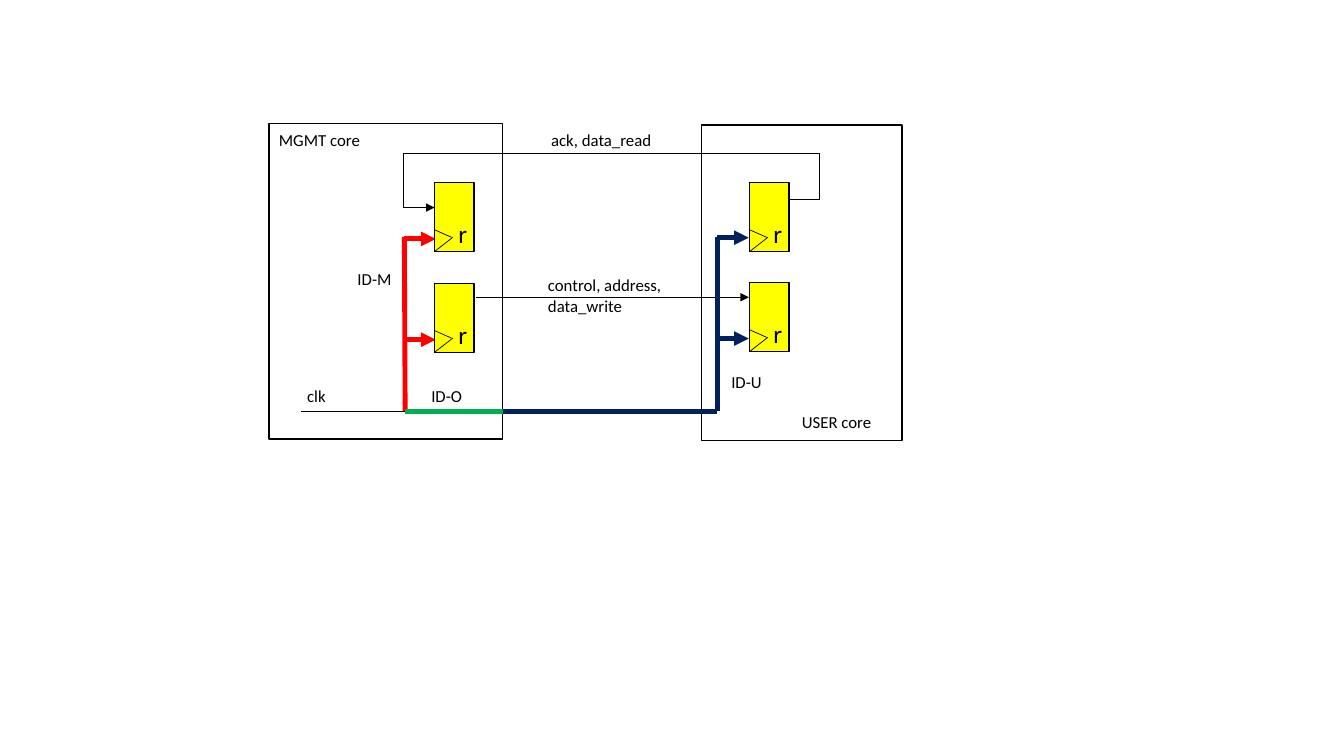
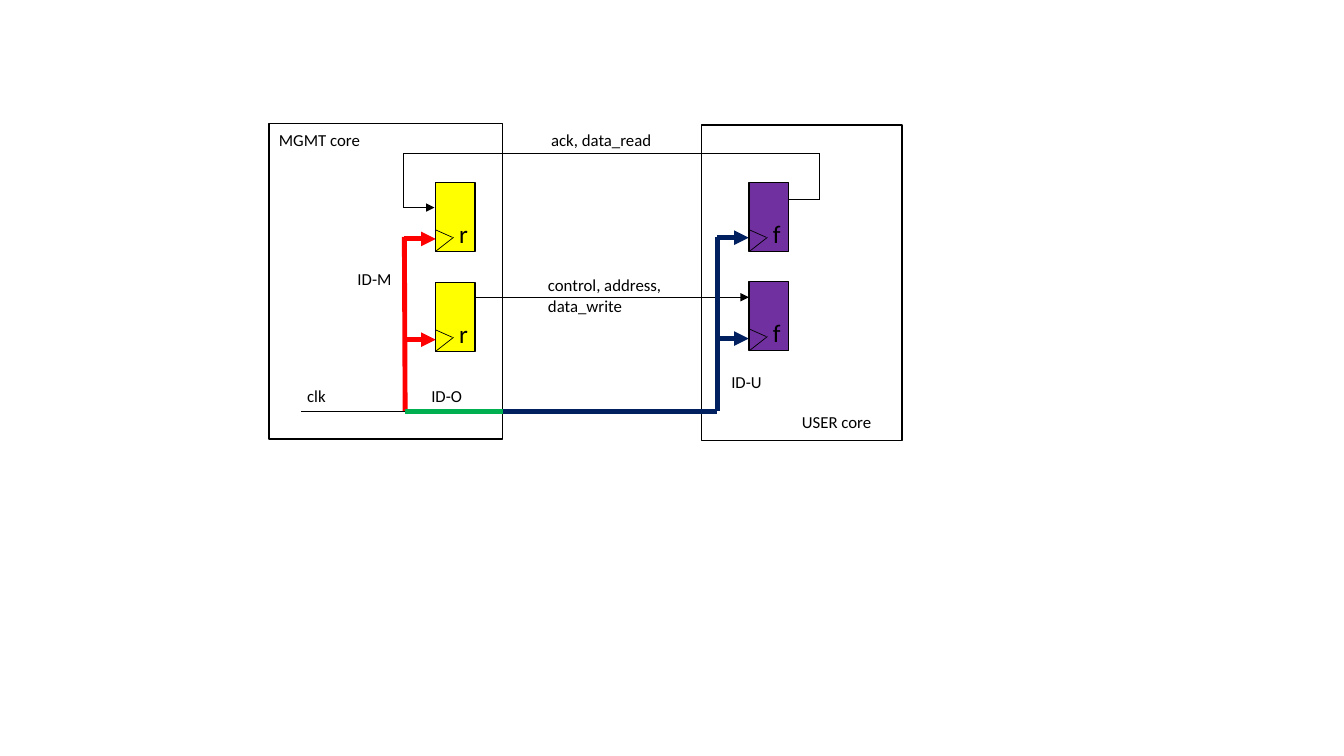
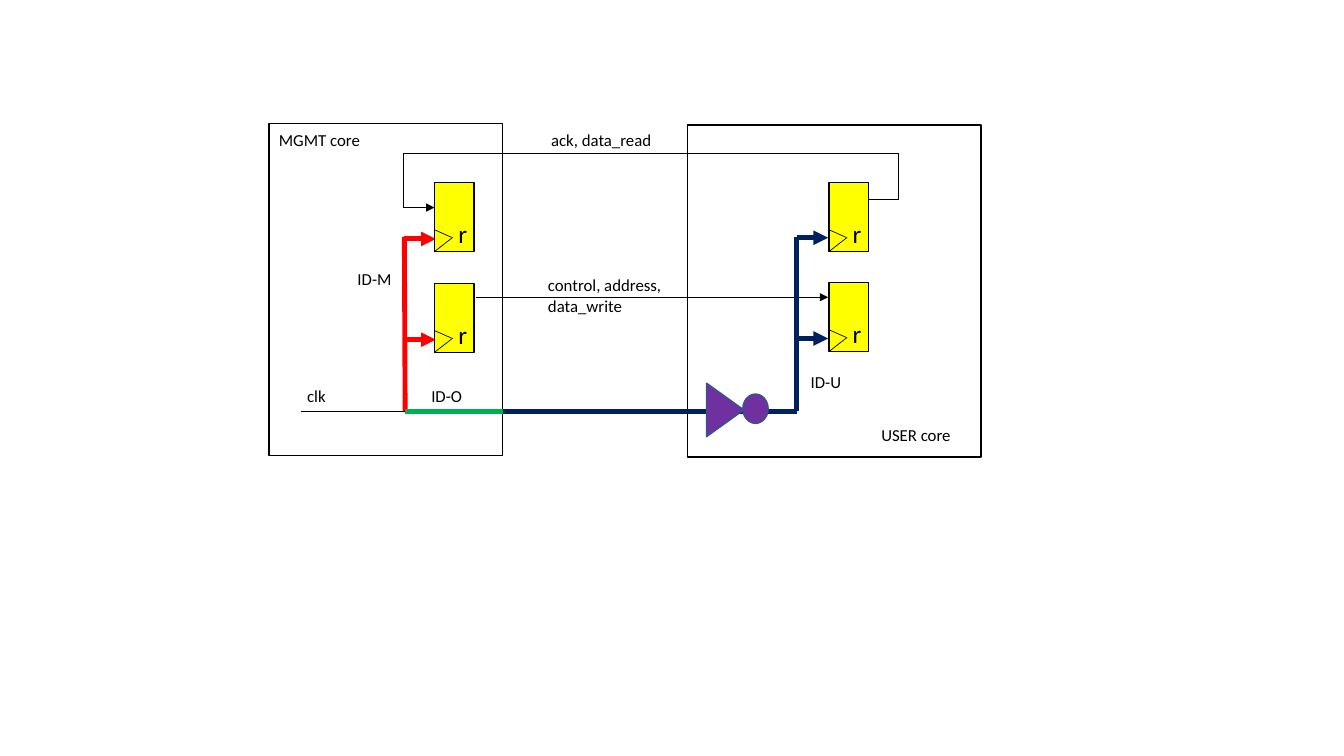
"""Draw three clocking schemes between a management core and a user core."""
from dataclasses import dataclass
from typing import Optional

from lxml import etree
from pptx import Presentation
from pptx.dml.color import RGBColor
from pptx.enum.shapes import MSO_CONNECTOR, MSO_SHAPE
from pptx.enum.text import MSO_AUTO_SIZE
from pptx.oxml.ns import qn
from pptx.shapes.autoshape import Shape
from pptx.slide import Slide
from pptx.util import Cm, Pt

RECTANGLE = MSO_SHAPE.RECTANGLE
TRIANGLE = MSO_SHAPE.ISOSCELES_TRIANGLE
OVAL = MSO_SHAPE.OVAL
STRAIGHT = MSO_CONNECTOR.STRAIGHT
FIT_TEXT = MSO_AUTO_SIZE.SHAPE_TO_FIT_TEXT

BLACK = RGBColor(0x00, 0x00, 0x00)
WHITE = RGBColor(0xFF, 0xFF, 0xFF)
YELLOW = RGBColor(0xFF, 0xFF, 0x00)
PURPLE = RGBColor(0x70, 0x30, 0xA0)
RED = RGBColor(0xFF, 0x00, 0x00)
GREEN = RGBColor(0x00, 0xB0, 0x50)
NAVY = RGBColor(0x00, 0x20, 0x60)
SLATE = RGBColor(0x32, 0x54, 0x91)

FONT = "Calibri"
THIN, THICK = 0.5, 3.5
LABEL_HEIGHT = 0.76
REGISTER_TOP, REGISTER_WIDTH, REGISTER_HEIGHT = 4.6, 1.0, 1.74
CORE_TOP, MGMT_LEFT, MGMT_WIDTH = 3.15, 6.78, 5.89
CLOCK_Y, BRANCH_X, ACK_Y = 10.36, 10.21, 3.86

Point = tuple[float, float]


@dataclass(frozen=True)
class Registers:
    """Two stacked registers triggered by the same clock edge."""
    left: float
    pitch: float
    edge: str = "r"
    fill: RGBColor = YELLOW


@dataclass(frozen=True)
class Scheme:
    """What differs from one clocking scheme to the next."""
    mgmt: Registers
    user: Registers
    panel_size: Point = (17.55, 8.86)
    core_height: float = 7.95
    user_left: float = 17.68
    user_width: float = 5.05
    user_label_top: float = 10.26
    shift: float = 0
    inverted: bool = False


SCHEMES = (
    Scheme(Registers(10.95, 2.54), Registers(18.89, 2.52)),
    Scheme(Registers(10.97, 2.52), Registers(18.88, 2.5, "f", PURPLE)),
    Scheme(Registers(10.95, 2.54), Registers(20.89, 2.52),
           panel_size=(19.48, 9.32), core_height=8.37, user_left=17.32,
           user_width=7.4, user_label_top=10.59, shift=2, inverted=True),
)


def add_text(slide: Slide, text: str, left: float, top: float, width: float, *,
             height: float = LABEL_HEIGHT, size: float = 12,
             color: RGBColor = BLACK) -> None:
    """Place unwrapped text, one paragraph a line."""
    frame = slide.shapes.add_textbox(Cm(left), Cm(top), Cm(width), Cm(height)).text_frame
    frame.word_wrap = False
    frame.auto_size = FIT_TEXT
    frame.text = text
    for paragraph in frame.paragraphs:
        font = paragraph.font
        font.name, font.size = FONT, Pt(size)
        font.color.rgb = color


def add_block(slide: Slide, preset: MSO_SHAPE, left: float, top: float,
              width: float, height: float, *, fill: Optional[RGBColor] = None,
              outline: RGBColor = BLACK) -> Shape:
    """Draw an outlined preset shape, hollow unless a fill is given."""
    block = slide.shapes.add_shape(preset, Cm(left), Cm(top), Cm(width), Cm(height))
    block.shadow.inherit = False
    if fill is None:
        block.fill.background()
    else:
        block.fill.solid()
        block.fill.fore_color.rgb = fill
    block.line.color.rgb = outline
    block.line.width = Pt(1)
    return block


def add_wire(slide: Slide, *points: Point, color: RGBColor = BLACK,
             width: float = THIN, arrow: bool = False) -> None:
    """Join the points with straight lines, the last with an optional arrowhead."""
    for start, end in zip(points, points[1:]):
        wire = slide.shapes.add_connector(
            STRAIGHT, Cm(start[0]), Cm(start[1]), Cm(end[0]), Cm(end[1]))
        wire.line.color.rgb = color
        wire.line.width = Pt(width)
        if arrow and end == points[-1]:
            etree.SubElement(wire.line._get_or_add_ln(), qn("a:tailEnd"), type="triangle")
        etree.SubElement(wire._element.spPr, qn("a:effectLst"))


def add_registers(slide: Slide, registers: Registers) -> None:
    """Draw a pair of registers with clock notch and edge letter."""
    left = registers.left
    for top in (REGISTER_TOP, REGISTER_TOP + registers.pitch):
        add_block(slide, RECTANGLE, left, top, REGISTER_WIDTH, REGISTER_HEIGHT,
                  fill=registers.fill)
        notch_y = top + 1.38
        add_wire(slide, (left, top + REGISTER_HEIGHT), (left + 0.46, notch_y))
        add_wire(slide, (left, top + 1.19), (left + 0.43, notch_y))
        add_text(slide, registers.edge, left + 0.35, top + 0.77, 0.74,
                 height=1.02, size=18)


def add_clock_tree(slide: Slide, trunk_x: float, foot_x: float, first_y: float,
                   color: RGBColor) -> None:
    """Draw a clock trunk with one arrow to each register."""
    for branch_y in (first_y, first_y + 2.54):
        add_wire(slide, (trunk_x, branch_y), (trunk_x + 0.79, branch_y),
                 color=color, width=THICK, arrow=True)
    add_wire(slide, (trunk_x, 5.97), (foot_x, CLOCK_Y), color=color, width=THICK)


def add_data_wires(slide: Slide, shift: float) -> None:
    """Draw the read and write paths between the cores."""
    add_wire(slide, (11.99, 7.49), (18.87 + shift, 7.49), arrow=True)
    outer_x = 20.65 + shift
    add_wire(slide, (19.89 + shift, 5.03), (outer_x, 5.03), (outer_x, ACK_Y),
             (10.16, ACK_Y), (10.16, 5.23), (10.95, 5.23), arrow=True)
    add_text(slide, "ack, data_read", 13.64, CORE_TOP, 3.07)
    add_text(slide, "control, address,\ndata_write", 13.56, 6.81, 3.4, height=1.27)


def add_clock_wires(slide: Slide, shift: float) -> None:
    """Draw the clock input and its three delayed sections."""
    user_x = 18.08 + shift
    mgmt_right = MGMT_LEFT + MGMT_WIDTH
    add_clock_tree(slide, 10.19, BRANCH_X, 6.02, RED)
    add_clock_tree(slide, user_x, user_x, 5.99, NAVY)
    add_wire(slide, (7.59, CLOCK_Y), (BRANCH_X, CLOCK_Y))
    add_wire(slide, (mgmt_right, CLOCK_Y), (user_x, CLOCK_Y), color=NAVY, width=THICK)
    add_wire(slide, (BRANCH_X, CLOCK_Y), (mgmt_right, CLOCK_Y), color=GREEN, width=THICK)
    add_text(slide, "clk", 7.49, 9.6, 0.99)
    add_text(slide, "ID-M", 8.76, 6.65, 1.37)
    add_text(slide, "ID-U", 18.18 + shift, 9.25, 1.3)
    add_text(slide, "ID-O", 10.62, 9.6, 1.3)


def add_inverter(slide: Slide) -> None:
    """Draw the inverter on the user clock."""
    gate = add_block(slide, TRIANGLE, 17.6, 9.86, 1.35, 0.94, fill=PURPLE, outline=SLATE)
    gate.rotation = 90
    add_block(slide, OVAL, 18.72, 9.93, 0.64, 0.74, fill=PURPLE, outline=SLATE)


def add_scheme(slide: Slide, scheme: Scheme) -> None:
    """Draw one complete clocking scheme."""
    add_block(slide, RECTANGLE, 6.05, 2.62, *scheme.panel_size, fill=WHITE, outline=WHITE)
    add_data_wires(slide, scheme.shift)
    add_block(slide, RECTANGLE, scheme.user_left, CORE_TOP, scheme.user_width,
              scheme.core_height)
    add_text(slide, "USER core", 19.96 + scheme.shift, scheme.user_label_top, 2.29)
    add_block(slide, RECTANGLE, MGMT_LEFT, CORE_TOP - 0.04, MGMT_WIDTH, scheme.core_height)
    add_text(slide, "MGMT core", MGMT_LEFT, CORE_TOP, 2.59)
    add_clock_wires(slide, scheme.shift)
    add_registers(slide, scheme.mgmt)
    add_registers(slide, scheme.user)
    if scheme.inverted:
        add_inverter(slide)


def main() -> None:
    """Build the deck and save it."""
    deck = Presentation()
    deck.slide_width, deck.slide_height = Cm(33.87), Cm(19.05)
    blank = deck.slide_layouts[6]
    for scheme in SCHEMES:
        add_scheme(deck.slides.add_slide(blank), scheme)
    deck.save("out.pptx")


if __name__ == "__main__":
    main()
